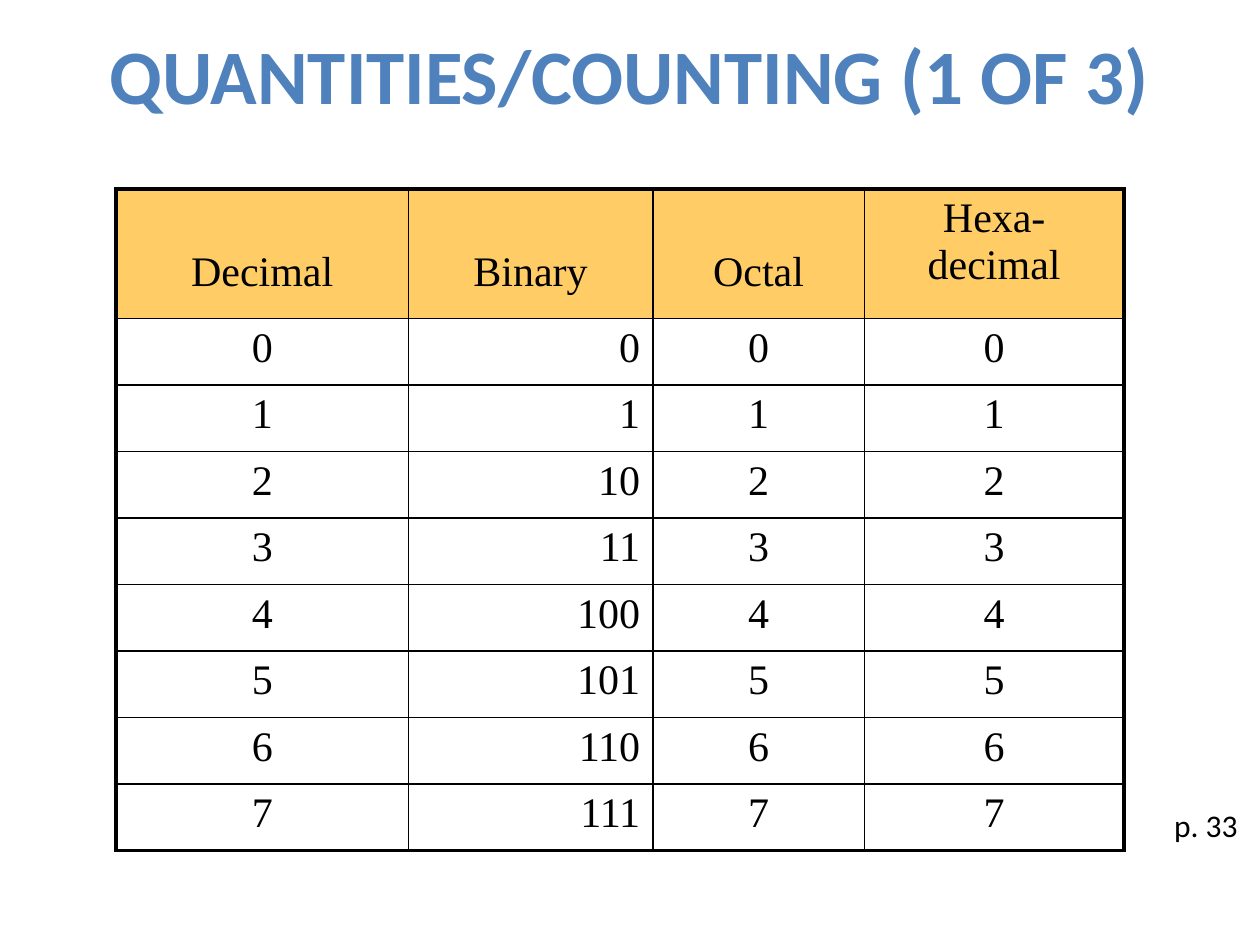
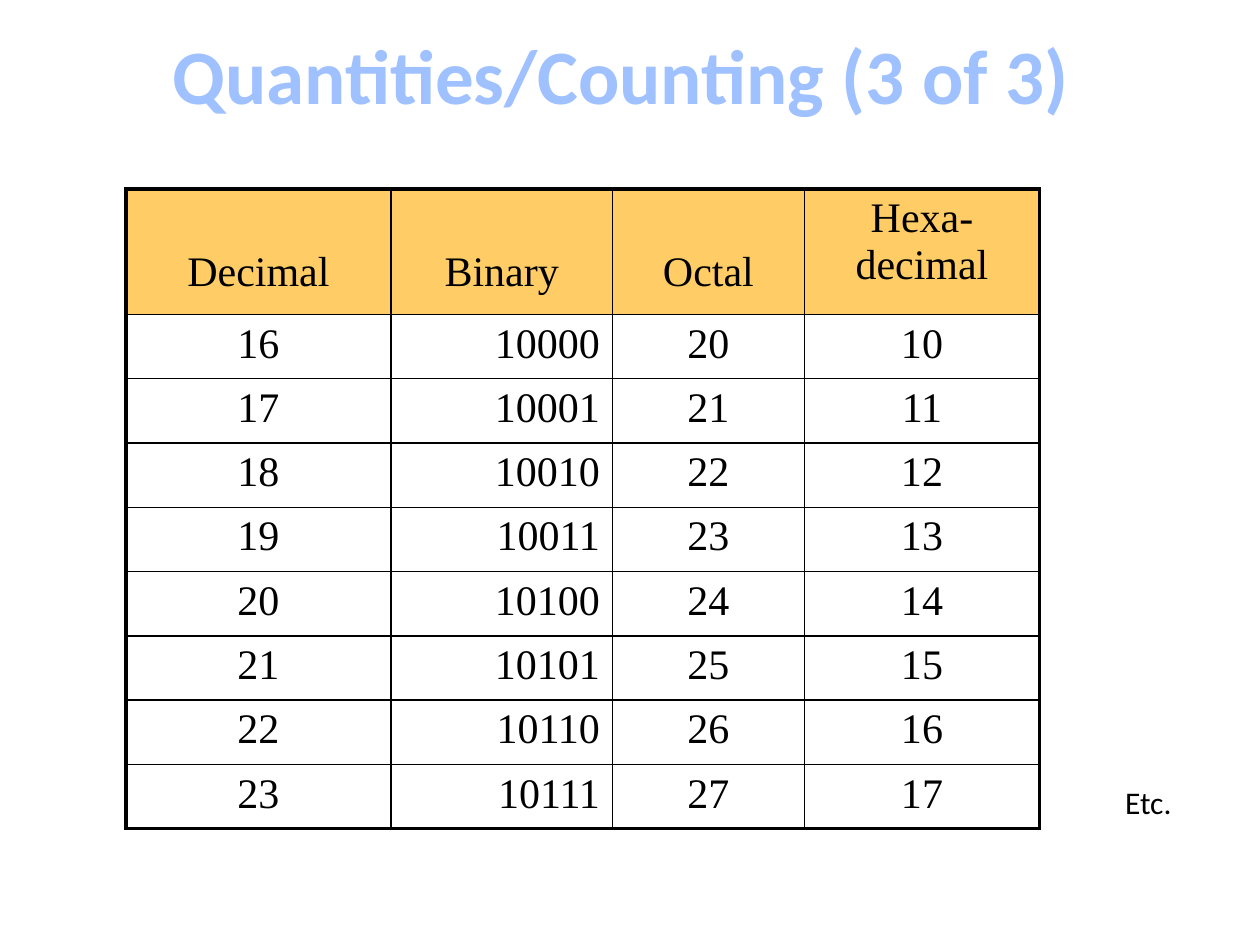
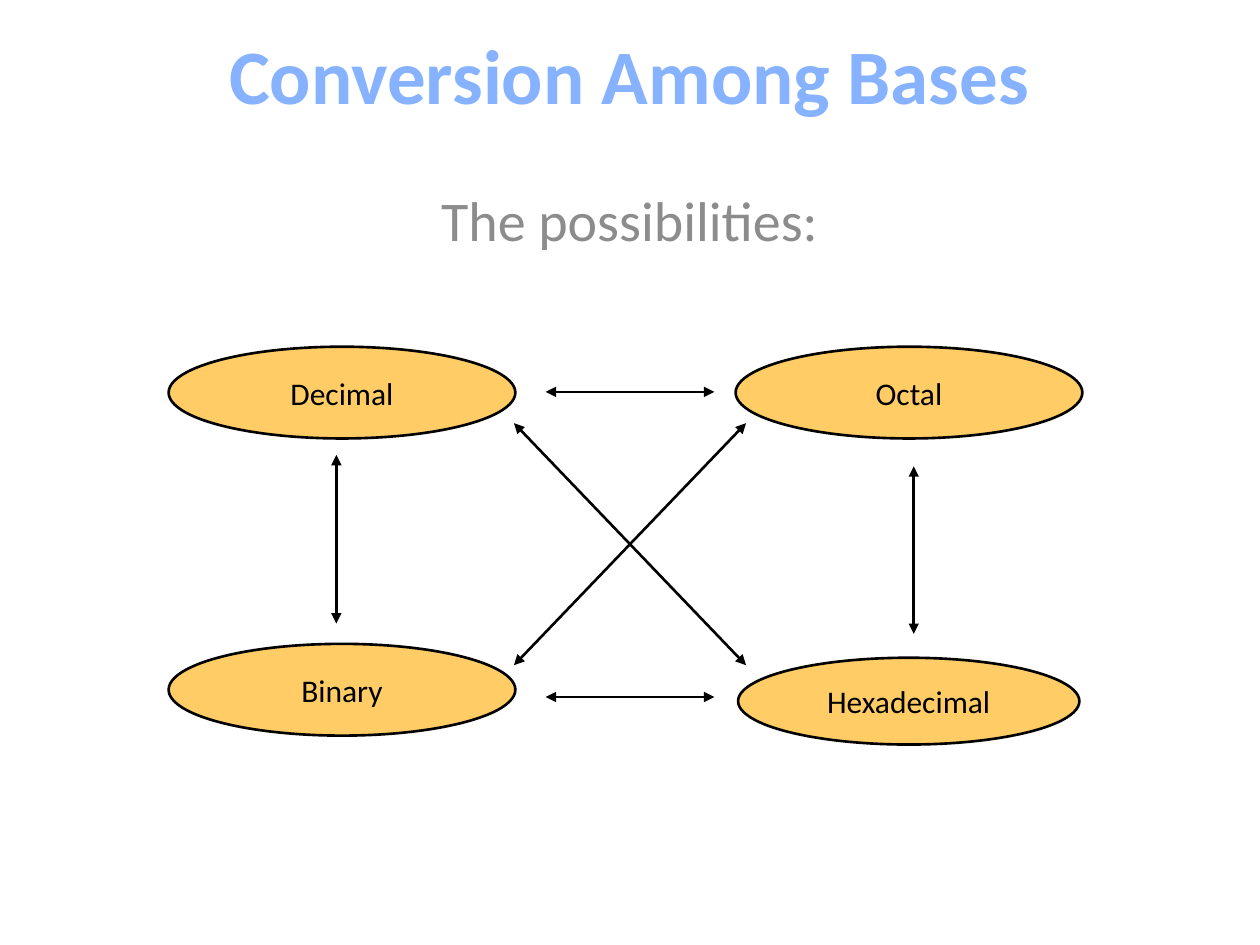
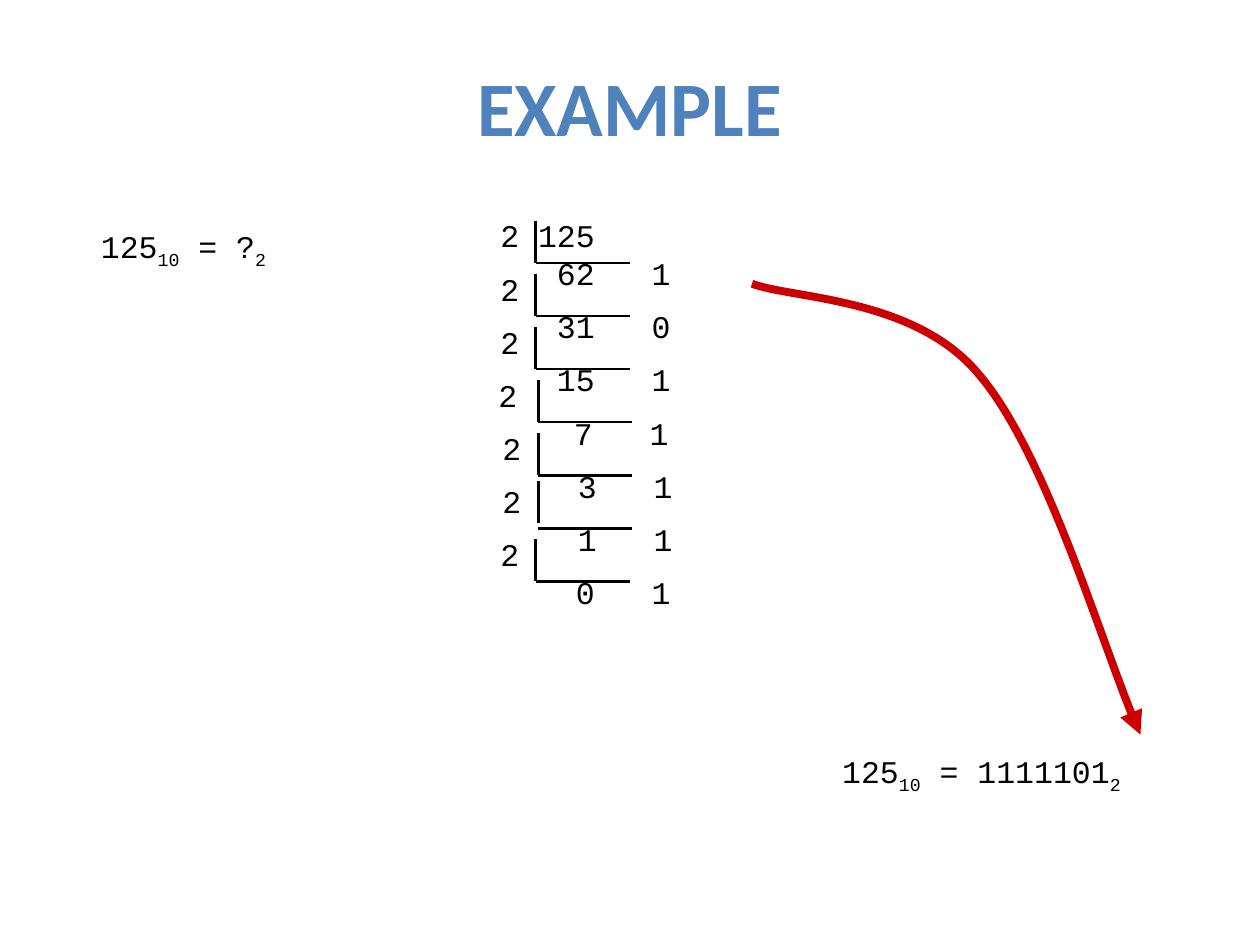
from lxml.etree import SubElement as Sub
from pptx import Presentation
from pptx.dml.color import RGBColor as Rgb
from pptx.enum.shapes import MSO_CONNECTOR as Link, MSO_SHAPE as Kind
from pptx.enum.text import MSO_ANCHOR as Anchor, MSO_AUTO_SIZE as Fit, PP_ALIGN as Align
from pptx.oxml.ns import qn
from pptx.util import Cm, Pt

INK = {
    "text": "000000", "title": "4F81BD", "gold": "FFCC66", "gray": "8C8C8C",
    "red": "CC0000", "pale": "BFD3F9", "sky": "A0C1FF", "navy": "003D85",
    "light": "87B2FF", "steel": "3A5F8C", "blue": "467AB8", "white": "FCFCFD",
}
SANS, SERIF, MONO = "Calibri", "Times New Roman", "Courier New"
COLS = (0.29, 0.2425, 0.21, 0.2575)  # shares of the table width
HEAD = 0.196                         # header share of the table height
ROWS = 8

# Gradient stops (percent, colour), then outline colour and width in points
SHINE = ([(0, "pale"), (9, "sky"), (50, "navy"), (79, "sky"), (100, "pale")], "blue", 0.83)
STEEL = ([(10, "light"), (90, "steel")], "white", 1.4)


def rgb(name):
    """Give the colour of that name."""
    return Rgb.from_string(INK[name])


def paint(node, name):
    """Add a solid fill to an XML node."""
    Sub(Sub(node, qn("a:solidFill")), qn("a:srgbClr"), val=INK[name])


def place(shape, box):
    """Move a shape to a box of left, top, width, height in cm."""
    shape.left, shape.top, shape.width, shape.height = map(Cm, box)


def write(par, text, size=18, font=SANS, ink="text", bold=False, base=0):
    """Add one run to a paragraph; ink None leaves the colour open."""
    run = par.add_run()
    run.text = text
    run.font.size, run.font.name, run.font.bold = Pt(size), font, bold
    if ink:
        run.font.color.rgb = rgb(ink)
    if base:
        run._r.get_or_add_rPr().set("baseline", str(base * 1000))
    return run


def glow(run, look):
    """Give a run an outline and a downward gradient."""
    stops, edge, width = look
    props = run._r.get_or_add_rPr()
    line = Sub(props, qn("a:ln"), w=str(Pt(width)))
    paint(line, edge)
    grad = Sub(props, qn("a:gradFill"))
    group = Sub(grad, qn("a:gsLst"))
    for pos, name in stops:
        stop = Sub(group, qn("a:gs"), pos=str(pos * 1000))
        Sub(stop, qn("a:srgbClr"), val=INK[name])
    Sub(grad, qn("a:lin"), ang="5400000", scaled="0")
    props.insert(0, grad)
    props.insert(0, line)


def start(deck, text, look=None, layout=5, top=0.43):
    """Add a slide and fill its title."""
    slide = deck.slides.add_slide(deck.slide_layouts[layout])
    title = slide.shapes.title
    place(title, (1.9, top, 21.59, 2.11))
    frame = title.text_frame
    frame.auto_size, frame.vertical_anchor = Fit.NONE, Anchor.MIDDLE
    par = frame.paragraphs[0]
    par.alignment = Align.CENTER
    run = write(par, text, 44, ink=None if look else "title", bold=True)
    if look:
        glow(run, look)
    return slide


def label(slide, box, align=Align.LEFT):
    """Add a wrapped text box and return its paragraph."""
    shape = slide.shapes.add_textbox(*map(Cm, box))
    shape.text_frame.word_wrap = True
    par = shape.text_frame.paragraphs[0]
    par.alignment = align
    return par


def frame_cell(cell, thick):
    """Draw the four borders of a cell, heavy on the sides in thick."""
    props = cell._tc.get_or_add_tcPr()
    for side in "LRTB":
        width = Pt(2.25 if side in thick else 1)
        paint(Sub(props, qn("a:ln" + side), w=str(width)), "text")


def count(slide, box, first):
    """Add a table that counts from first in four bases."""
    table = slide.shapes.add_table(ROWS + 1, len(COLS), *map(Cm, box)).table
    table.first_row = table.horz_banding = False
    wide, high = box[2:]
    for col, share in zip(table.columns, COLS):
        col.width = Cm(wide * share)
    for i, row in enumerate(table.rows):
        row.height = Cm(high * (HEAD if i == 0 else (1 - HEAD) / ROWS))
    data = [("Decimal", "Binary", "Octal", "Hexa-\vdecimal")]
    data += [[format(n, base) for base in "dboX"] for n in range(first, first + ROWS)]
    for i, row in enumerate(data):
        for j, text in enumerate(row):
            cell = table.cell(i, j)
            edges = {"T": i == 0, "B": i == ROWS, "L": j == 0, "R": j == len(COLS) - 1}
            frame_cell(cell, [side for side in edges if edges[side]])
            if i == 0:
                cell.fill.solid()
                cell.fill.fore_color.rgb = rgb("gold")
                if "\v" not in text:
                    cell.margin_top = Cm(1.22)
            else:
                cell.fill.background()
            par = cell.text_frame.paragraphs[0]
            par.alignment = Align.RIGHT if i and j == 1 else Align.CENTER
            for k, part in enumerate(text.split("\v")):
                if k:
                    par.add_line_break()
                write(par, part, 24, SERIF)


def oval(slide, text, box):
    """Add a gold oval with a centred name."""
    shape = slide.shapes.add_shape(Kind.OVAL, *map(Cm, box))
    shape.shadow.inherit = False
    shape.fill.solid()
    shape.fill.fore_color.rgb = rgb("gold")
    shape.line.color.rgb, shape.line.width = rgb("text"), Pt(1.5)
    frame = shape.text_frame
    frame.word_wrap, frame.vertical_anchor = False, Anchor.MIDDLE
    par = frame.paragraphs[0]
    par.alignment = Align.CENTER
    write(par, text)


def tip(line, *ends):
    """Put triangles on the named ends of a line."""
    for end in ends:
        Sub(line._get_or_add_ln(), qn("a:" + end), type="triangle")


def stroke(slide, *ends):
    """Draw a thin black line from x, y to x, y in cm."""
    link = slide.shapes.add_connector(Link.STRAIGHT, *map(Cm, ends))
    link.line.color.rgb, link.line.width = rgb("text"), Pt(1.5)
    Sub(link._element.spPr, qn("a:effectLst"))
    return link


def curve(slide, points):
    """Draw a red Bezier arrow: a start, then three points a piece."""
    pairs = [(Cm(x), Cm(y)) for x, y in points]
    pen = slide.shapes.build_freeform(*pairs[0], scale=1.0)
    pen.add_line_segments(pairs[1:], close=False)
    shape = pen.convert_to_shape()
    shape.shadow.inherit = False
    shape.fill.background()
    shape.line.color.rgb, shape.line.width = rgb("red"), Pt(4.5)
    tip(shape.line, "tailEnd")
    legs = list(shape._element.spPr.iter(qn("a:lnTo")))
    for i in range(0, len(legs), 3):
        bend = Sub(legs[i].getparent(), qn("a:cubicBezTo"))
        for leg in legs[i:i + 3]:
            bend.append(leg[0])
            leg.getparent().remove(leg)


def equate(slide, box, value):
    """Write 125 in base ten as a value in base two."""
    par = label(slide, box, Align.CENTER)
    for text, base in (("125", 0), ("10", -25), (" = " + value, 0), ("2", -25)):
        write(par, text, font=MONO, base=base)


def divide(slide, num):
    """Draw the ladder of divisions of num by two."""
    # Text left, line left, lift of the upright
    steps = [(9.84, 10.8, 0)] * 3 + [(9.8, 10.85, 0), (9.88, 10.85, 0),
                                     (9.88, 10.85, 0.1), (9.84, 10.8, 0)]
    for i, (left, x, lift) in enumerate(steps):
        top = 4.24 + 1.07 * i
        par = label(slide, (left, top, 5.72, 2.29))
        tabs = Sub(par._p.get_or_add_pPr(), qn("a:tabLst"))
        for stop in (1.9, 3.43):
            Sub(tabs, qn("a:tab"), pos=str(Cm(stop)), algn="r")
        write(par, f"2\t{num}" if i == 0 else "2", font=MONO)
        num, rest = divmod(num, 2)
        par.add_line_break()
        write(par, f"\t{num}\t{rest}", font=MONO)
        floor = top + 1.06
        stroke(slide, x, floor - 0.85 - lift, x, floor - lift)
        stroke(slide, x, floor, x + 1.9, floor)


def bases(deck):
    """Build the slide of conversions among bases."""
    slide = start(deck, "Conversion Among Bases", STEEL, layout=0)
    body = slide.placeholders[1]
    place(body, (1.9, 3.61, 21.59, 11.43))
    par = body.text_frame.paragraphs[0]
    par.alignment = Align.CENTER
    write(par, "The possibilities:", 32, ink="gray")
    for text, box in (
        ("Hexadecimal", (14.88, 13.26, 6.88, 1.75)),
        ("Decimal", (3.4, 6.99, 6.99, 1.85)),
        ("Octal", (14.83, 6.99, 6.99, 1.85)),
        ("Binary", (3.4, 12.98, 6.99, 1.85)),
    ):
        oval(slide, text, box)
    for ends in (
        (10.36, 13.41, 15.04, 8.53), (15.04, 13.41, 10.36, 8.53),
        (18.42, 12.78, 18.42, 9.4), (6.78, 12.57, 6.78, 9.17),
        (11, 7.9, 14.4, 7.9), (11, 14.05, 14.4, 14.05),
    ):
        tip(stroke(slide, *ends).line, "headEnd", "tailEnd")


def sample(deck):
    """Build the slide of the worked division."""
    slide = start(deck, "EXAMPLE", top=1.07)
    equate(slide, (0.84, 4.45, 5.72, 1.27), "?")
    divide(slide, 125)
    equate(slide, (15.24, 15.04, 9.09, 1.27), format(125, "b"))
    curve(slide, [(15.16, 5.72), (15.93, 6.02), (18.42, 5.99), (19.71, 7.52),
                  (21.03, 9.04), (22.3, 13.28), (22.99, 14.81)])


def main():
    """Build the deck."""
    deck = Presentation()
    deck.slide_width, deck.slide_height = Cm(25.4), Cm(19.05)
    slide = start(deck, "QUANTITIES/COUNTING (1 OF 3)")
    count(slide, (2.34, 3.81, 20.32, 13.34), 0)
    write(label(slide, (22.23, 16.13, 2.97, 1.02), Align.RIGHT), "p. 33")
    slide = start(deck, "Quantities/Counting (3 of 3) ", SHINE)
    count(slide, (2.54, 3.81, 18.42, 12.9), 16)
    write(label(slide, (22.43, 15.67, 1.85, 1.27)), "Etc.")
    bases(deck)
    sample(deck)
    deck.save("out.pptx")


main()
